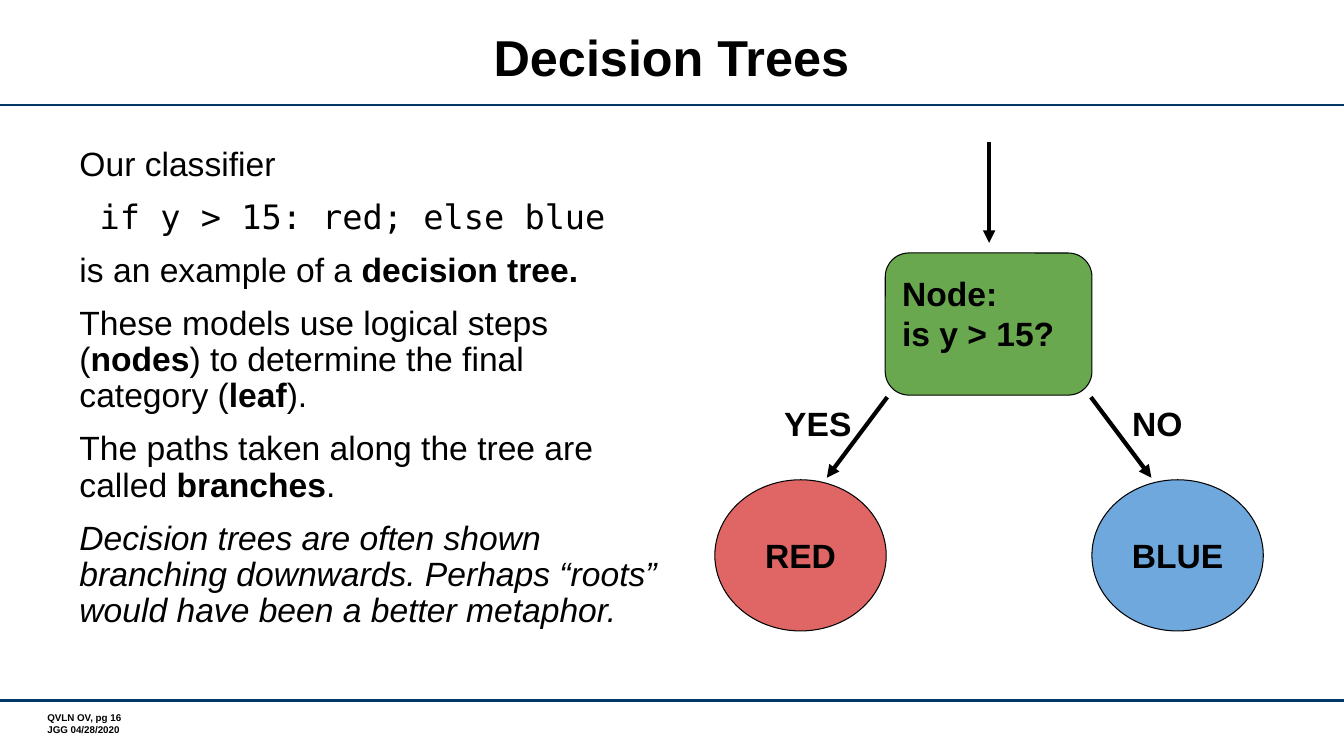
from lxml.etree import SubElement
from pptx import Presentation
from pptx.dml.color import RGBColor
from pptx.enum.shapes import MSO_CONNECTOR, MSO_SHAPE
from pptx.enum.text import MSO_ANCHOR, MSO_AUTO_SIZE, PP_ALIGN
from pptx.oxml.ns import qn
from pptx.util import Inches, Pt

COLORS = {"ink": "000000", "rule": "003767", "node": "6AA84F",
          "red": "E06666", "blue": "6FA8DC"}
BOLD = {"bold": True}
ITALIC = {"italic": True}
CODE = {"name": "DejaVu Sans Mono"}
LABEL = {"size": Pt(24), "bold": True}
CENTER = {"alignment": PP_ALIGN.CENTER}


def color(name):
    return RGBColor.from_string(COLORS[name])


def apply(target, values):
    for key, value in values.items():
        setattr(target, key, value)


class SlideBuilder:
    """Holds the base text style and the current slide."""

    base_font = {"name": "Arial", "size": Pt(24), "bold": False}

    def __init__(self, slide):
        self.slide = slide

    def fill_text(self, shape, paragraphs, font=None, layout=None,
                  insets=(0.1, 0.1, 0.1, 0.1), anchor=MSO_ANCHOR.TOP):
        """Each paragraph is a list of (text, font values) runs."""
        frame = shape.text_frame
        sides = ("margin_left", "margin_top", "margin_right", "margin_bottom")
        apply(frame, {"word_wrap": True, "auto_size": MSO_AUTO_SIZE.NONE,
                      "vertical_anchor": anchor})
        apply(frame, dict(zip(sides, map(Inches, insets))))
        for index, runs in enumerate(paragraphs):
            paragraph = frame.add_paragraph() if index else frame.paragraphs[0]
            apply(paragraph, {"alignment": PP_ALIGN.LEFT, **(layout or {})})
            for text, values in runs:
                run = paragraph.add_run()
                run.text = text
                apply(run.font, {**self.base_font, **(font or {}), **values})
                run.font.color.rgb = color("ink")

    def title(self, text, box):
        heading = self.slide.shapes.title
        apply(heading, dict(zip(("left", "top", "width", "height"), map(Inches, box))))
        self.fill_text(heading, [[(text, {})]], {"size": Pt(36), "bold": True}, CENTER,
                       (0.1, 0.05, 0.1, 0.05), MSO_ANCHOR.MIDDLE)

    def text(self, box, paragraphs, **style):
        self.fill_text(self.slide.shapes.add_textbox(*map(Inches, box)),
                       paragraphs, **style)

    def shape(self, kind, box, fill, paragraphs, **style):
        shape = self.slide.shapes.add_shape(kind, *map(Inches, box))
        shape.shadow.inherit = False
        shape.fill.solid()
        shape.fill.fore_color.rgb = color(fill)
        shape.line.color.rgb = color("ink")
        shape.line.width = Pt(0.75)
        self.fill_text(shape, paragraphs, LABEL, anchor=MSO_ANCHOR.MIDDLE, **style)

    def line(self, start, end, ink, width, arrow=False):
        line = self.slide.shapes.add_connector(
            MSO_CONNECTOR.STRAIGHT, *map(Inches, (*start, *end)))
        line.line.color.rgb = color(ink)
        line.line.width = Pt(width)
        properties = line._element.spPr
        if arrow:
            SubElement(properties.find(qn("a:ln")), qn("a:tailEnd"), type="triangle")
        SubElement(properties, qn("a:effectLst"))


def main():
    deck = Presentation()
    deck.slide_width, deck.slide_height = Inches(13.33), Inches(7.5)
    page = SlideBuilder(deck.slides.add_slide(deck.slide_layouts[5]))

    # Page frame: rules, footer and title
    for rule_y in (1.04, 6.95):
        page.line((0, rule_y), (13.33, rule_y), "rule", 1.75)
    page.text((0.47, 7.06, 1.59, 0.24),
              [[("QVLN OV, pg 16", {})], [("JGG 04/28/2020", {})]],
              font={"size": Pt(7), "bold": True}, insets=(0, 0, 0, 0))
    page.title("Decision Trees", (1.37, 0.11, 10.58, 0.89))

    # Explanation
    explanation = [
        [("Our classifier", {})],
        [(" if y > 15: red; else blue", CODE)],
        [("is an example of a ", {}), ("decision tree.", BOLD)],
        [("These models use logical steps (", {}), ("nodes", BOLD),
         (") to determine the final category (", {}), ("leaf", BOLD), (").", {})],
        [("The paths taken along the tree are called ", {}),
         ("branches", BOLD), (".", {})],
        [("Decision trees are often shown branching downwards. Perhaps “roots” "
          "would have been a better metaphor.", ITALIC)],
    ]
    page.text((0.69, 1.41, 5.97, 5.28), explanation,
              layout={"line_spacing": 0.9, "space_before": Pt(12)},
              insets=(0.1, 0.05, 0.1, 0.05))

    # Root node with its incoming arrow
    tree_x = 9.81
    page.line((tree_x, 1.41), (tree_x, 2.41), "ink", 3, arrow=True)
    page.shape(MSO_SHAPE.ROUNDED_RECTANGLE, (8.78, 2.51, 2.05, 1.41), "node",
               [[("Node:", {})], [("is y > 15?", {})]], insets=(0.1, 0.1, 0.1, 0.32))

    # Branches and leaves, mirrored about the node
    branches = [(-1, "YES", 7.68, "RED", "red"), (1, "NO", 11.13, "BLUE", "blue")]
    leaf_width = 1.7
    for side, answer, answer_x, leaf, fill in branches:
        leaf_x = tree_x + side * 1.87 - leaf_width / 2
        page.shape(MSO_SHAPE.OVAL, (leaf_x, 4.76, leaf_width, 1.5), fill,
                   [[(leaf, {})]], layout=CENTER)
        page.line((tree_x + side * 1.01, 3.94), (tree_x + side * 1.61, 4.74),
                  "ink", 3, arrow=True)
        page.text((answer_x, 3.9, 1.03, 0.47), [[(answer, {})]], font=LABEL)

    deck.save("out.pptx")


if __name__ == "__main__":
    main()
